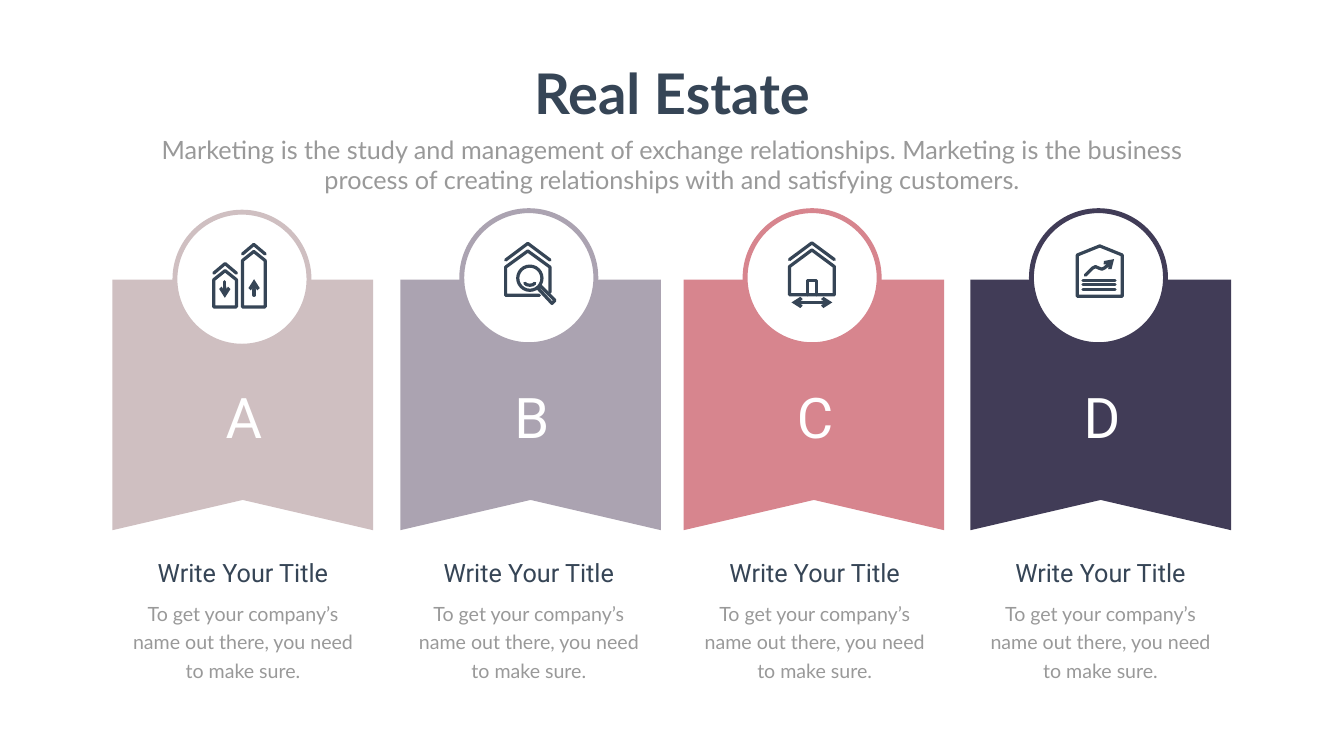
import pptx
import pptx.util
import pptx.dml.color
import pptx.enum.shapes
import pptx.enum.text
import pptx.oxml
import pptx.oxml.ns

Inches = pptx.util.Inches
Pt = pptx.util.Pt
KIND = pptx.enum.shapes.MSO_SHAPE
INK, GRAY, WHITE = "364556", "999999", "FFFFFF"
PEN = 4.6
RING = 2.66
BLURB = "To get your company’s name out there, you need to make sure."
INTRO = ("Marketing is the study and management of exchange relationships. "
         "Marketing is the business process of creating relationships with "
         "and satisfying customers.")


def color(code):
    return pptx.dml.color.RGBColor.from_string(code)


def write(shape, text, size, font, code, bold=False, lead=1.0):
    frame = shape.text_frame
    frame.word_wrap = True
    frame.vertical_anchor = pptx.enum.text.MSO_ANCHOR.TOP
    frame.text = text
    para = frame.paragraphs[0]
    para.alignment = pptx.enum.text.PP_ALIGN.CENTER
    para.line_spacing = lead
    face = para.runs[0].font
    face.size, face.name, face.bold = Pt(size), font, bold
    face.color.rgb = color(code)


def label(slide, left, top, width, height, *style, **more):
    box = slide.shapes.add_textbox(*map(Inches, (left, top, width, height)))
    write(box, *style, **more)


def outline(shapes, points, closed):
    dots = [(Inches(x), Inches(y)) for x, y in points]
    build = shapes.build_freeform(*dots[0])
    build.add_line_segments(dots[1:], close=closed)
    shape = build.convert_to_shape()
    shape.shadow.inherit = False
    return shape


def ink(shape, head=False, tail=False):
    """Give a stroke the icon pen, with round ends and optional arrowheads."""
    shape.line.color.rgb = color(INK)
    shape.line.width = Pt(PEN)
    line = shape.element.spPr.find(pptx.oxml.ns.qn("a:ln"))
    line.set("cap", "rnd")
    space = pptx.oxml.ns.nsdecls("a")
    line.append(pptx.oxml.parse_xml(f"<a:round {space}/>"))
    for tag, used in (("headEnd", head), ("tailEnd", tail)):
        if used:
            line.append(pptx.oxml.parse_xml(f'<a:{tag} {space} type="arrow"/>'))


class Icon:
    """Line drawing whose points are measured from the corner of its box."""

    def __init__(self, slide, left, top):
        self.shapes = slide.shapes.add_group_shape().shapes
        self.left, self.top = left, top

    def path_of(self, points):
        return [(self.left + x, self.top + y) for x, y in points]

    def stroke(self, *points, closed=False, tail=False):
        shape = outline(self.shapes, self.path_of(points), closed)
        shape.fill.background()
        ink(shape, tail=tail)

    def rule(self, start, end, head=False, tail=False):
        (x1, y1), (x2, y2) = self.path_of((start, end))
        wire = self.shapes.add_connector(
            pptx.enum.shapes.MSO_CONNECTOR.STRAIGHT,
            *map(Inches, (x1, y1, x2, y2)))
        ink(wire, head, tail)
        pptx.oxml.ns.qn("a:effectLst")
        wire.element.spPr.append(pptx.oxml.parse_xml(
            f'<a:effectLst {pptx.oxml.ns.nsdecls("a")}/>'))

    def roof(self, left, right, eave, peak):
        self.stroke((left, eave), ((left + right) / 2, peak), (right, eave))

    def house(self, left, right, eave, peak, base):
        self.stroke((left, base), (left, eave), ((left + right) / 2, peak),
                    (right, eave), (right, base), closed=True)


def draw_prices(icon):
    for left, peak in ((0.77, 1.02), (1.34, 0.64)):
        icon.roof(left, left + 0.45, peak + 0.19, peak)
        icon.house(left, left + 0.45, peak + 0.32, peak + 0.14, 1.88)
    icon.rule((0.99, 1.38), (0.99, 1.7), tail=True)
    icon.rule((1.57, 1.65), (1.57, 1.33), tail=True)


def draw_search(icon):
    icon.roof(0.87, 1.75, 0.98, 0.65)
    icon.stroke((1.54, 1.68), (0.87, 1.68), (0.87, 1.12), (1.31, 0.8),
                (1.75, 1.12), (1.75, 1.62))
    lens = icon.shapes.add_shape(
        KIND.OVAL, Inches(icon.left + 1.11), Inches(icon.top + 1.1),
        Inches(0.48), Inches(0.48))
    lens.shadow.inherit = False
    lens.fill.background()
    ink(lens)
    icon.stroke((1.51, 1.54), (1.56, 1.49), (1.85, 1.78), (1.79, 1.84),
                closed=True)
    icon.stroke((1.25, 1.44), (1.29, 1.47), (1.35, 1.48), (1.41, 1.47),
                (1.45, 1.44))


def draw_width(icon):
    icon.roof(0.88, 1.77, 0.97, 0.64)
    icon.house(0.88, 1.77, 1.11, 0.78, 1.67)
    icon.stroke((1.24, 1.67), (1.24, 1.39), (1.41, 1.39), (1.41, 1.67))
    icon.rule((0.92, 1.82), (1.73, 1.82), head=True, tail=True)


def draw_trend(icon):
    icon.house(0.91, 1.8, 0.88, 0.7, 1.7)
    icon.stroke((1.07, 1.28), (1.21, 1.14), (1.27, 1.11), (1.34, 1.14),
                (1.4, 1.16), (1.46, 1.13), (1.64, 0.96), tail=True)
    for row in range(3):
        level = 1.38 + 0.09 * row
        icon.rule((1.02, level), (1.66, level))


def add_header(slide, left, top, width):
    title = slide.shapes.title
    title.left, title.top = Inches(left), Inches(top)
    title.width, title.height = Inches(width), Inches(1.45)
    write(title, "Real Estate", 80, "Lato", INK, bold=True)
    label(slide, left, top + 1.49, width, 1.31, INTRO, 36, "Lato", GRAY)


def add_banner(slide, left, top, letter, code, ring_at, draw):
    wide, high, notch = 5.17, 4.97, 0.6
    corners = [(0, 0), (wide, 0), (wide, high), (wide / 2, high - notch),
               (0, high)]
    flag = outline(slide.shapes, [(left + x, top + y) for x, y in corners], True)
    flag.fill.solid()
    flag.fill.fore_color.rgb = color(code)
    flag.line.fill.background()
    ring = slide.shapes.add_shape(
        KIND.OVAL, *map(Inches, (*ring_at, RING, RING)))
    ring.shadow.inherit = False
    ring.fill.solid()
    ring.fill.fore_color.rgb = color(WHITE)
    ring.line.color.rgb = color(code)
    ring.line.width = Pt(7)
    draw(Icon(slide, *ring_at))
    label(slide, left + 1.85, top + 2, 1.52, 1.45, letter, 80, "Roboto", WHITE)


def add_caption(slide, left, top):
    label(slide, left + 0.3, top, 4.1, 0.71, "Write Your Title", 36, "Roboto", INK)
    label(slide, left, top + 0.78, 4.7, 1.77, BLURB, 28, "Lato", GRAY,
          lead=Pt(40.8))


def main():
    deck = pptx.Presentation()
    deck.slide_width, deck.slide_height = Inches(26.66), Inches(15)
    slide = deck.slides.add_slide(deck.slide_layouts[5])
    add_header(slide, 2.92, 1.12, 20.82)
    banners = [
        (2.23, "A", "CFBFC1", (3.47, 4.21), draw_prices),
        (7.94, "B", "ABA3B1", (9.16, 4.18), draw_search),
        (13.56, "C", "D7858E", (14.78, 4.18), draw_width),
        (19.25, "D", "413C57", (20.46, 4.18), draw_trend),
    ]
    for index, (left, *parts) in enumerate(banners):
        add_banner(slide, left, 5.55, *parts)
        add_caption(slide, 2.47 + 5.67 * index, 11.01)
    deck.save("out.pptx")


if __name__ == "__main__":
    main()
